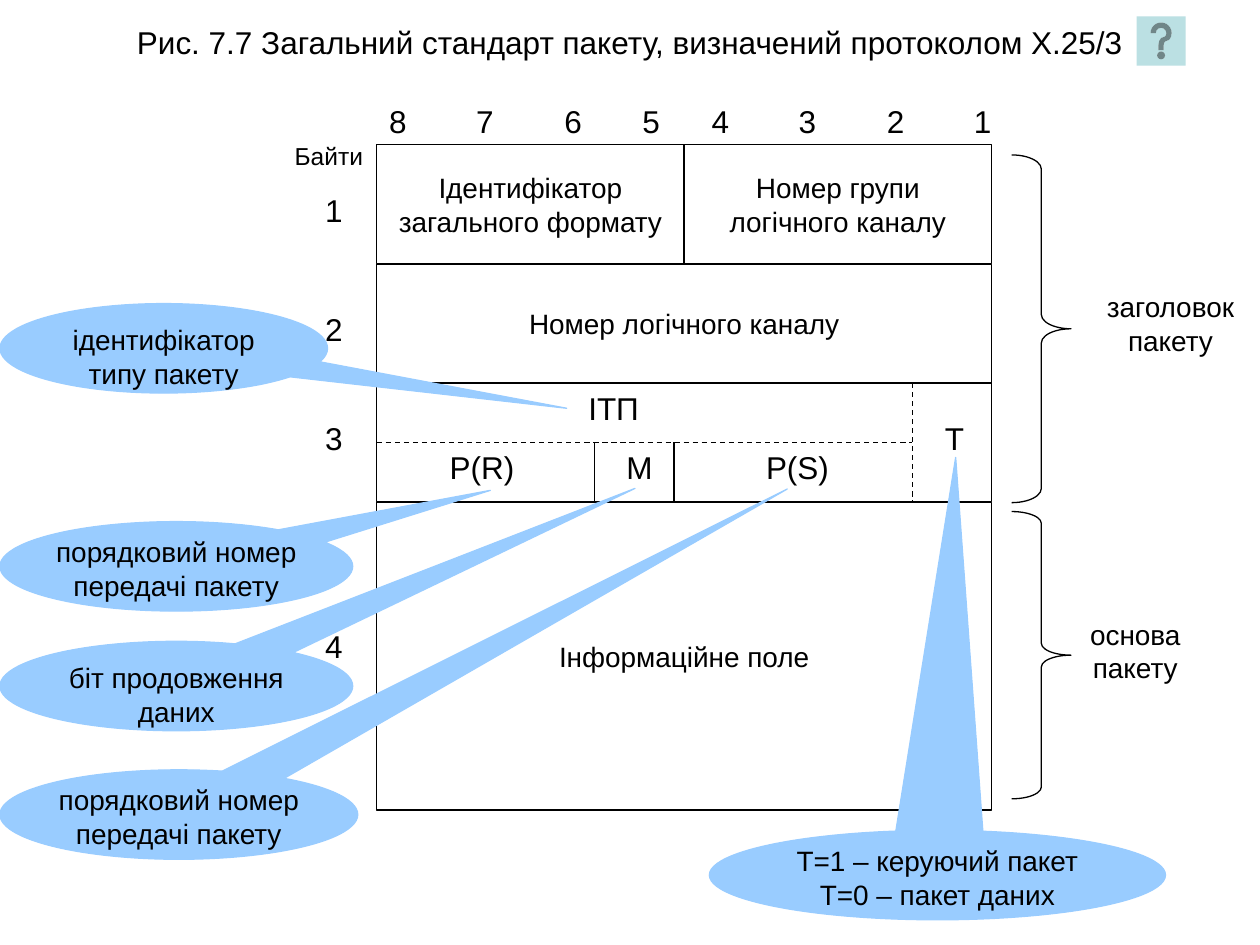
from typing import NamedTuple

from lxml.etree import SubElement
from pptx import Presentation
from pptx.dml.color import RGBColor
from pptx.enum.dml import MSO_LINE_DASH_STYLE as DASH
from pptx.enum.shapes import MSO_CONNECTOR, MSO_SHAPE
from pptx.enum.text import MSO_ANCHOR as ANCHOR, MSO_AUTO_SIZE, PP_ALIGN
from pptx.oxml.ns import qn
from pptx.util import Inches, Pt

BLACK = RGBColor(0x00, 0x00, 0x00)
CALLOUT_BLUE = RGBColor(0x99, 0xCC, 0xFF)
BUTTON_TEAL = RGBColor(0xBB, 0xE0, 0xE3)

LEFT, WIDTH = 2.99, 4.88
HALF = WIDTH / 2
ROW_H = 0.94
ROW_TOPS = [1.15, 2.1, 3.04, 3.99]
MIDDLE = 3.51      # dashed line inside the third row
T_LEFT = 7.24      # left edge of the T bit
INSETS = (0.1, 0.05)


class Box(NamedTuple):
    left: float
    top: float
    width: float
    height: float


class Cell(NamedTuple):
    box: Box
    text: str = ""


class Label(NamedTuple):
    box: Box
    text: str
    size: int = 18
    wrap: bool = False


class Rule(NamedTuple):
    x1: float
    y1: float
    x2: float
    y2: float
    dashed: bool = False


class Brace(NamedTuple):
    box: Box
    curve: float


class Callout(NamedTuple):
    box: Box
    tip: tuple[float, float]
    text: str
    insets: tuple[float, float] = (0, 0)


CELLS = [
    Cell(Box(LEFT + HALF, ROW_TOPS[0], HALF, ROW_H), "Номер групи\nлогічного каналу"),
    Cell(Box(LEFT, ROW_TOPS[0], HALF, ROW_H), "Ідентифікатор\nзагального формату"),
    Cell(Box(LEFT, ROW_TOPS[1], WIDTH, ROW_H), "Номер логічного каналу"),
    Cell(Box(LEFT, ROW_TOPS[3], WIDTH, 2.44), "Інформаційне поле"),
    Cell(Box(LEFT, ROW_TOPS[2], WIDTH, ROW_H)),
]
RULES = [
    Rule(T_LEFT, ROW_TOPS[2], T_LEFT, ROW_TOPS[3], True),
    Rule(LEFT, MIDDLE, T_LEFT, MIDDLE, True),
    Rule(5.35, MIDDLE, 5.35, ROW_TOPS[3]),
    Rule(4.72, MIDDLE, 4.72, ROW_TOPS[3]),
]
FIELD_LABELS = [
    Label(Box(4.8, MIDDLE, 0.55, 0.4), "М"),
    Label(Box(3.47, MIDDLE, 0.71, 0.4), "P(R)"),
    Label(Box(5.98, MIDDLE, 0.7, 0.4), "P(S)"),
    Label(Box(7.4, 3.28, 0.35, 0.4), "T"),
    Label(Box(4.57, ROW_TOPS[2], 0.6, 0.4), "ІТП"),
    Label(Box(8.5, 4.85, 1.02, 0.64), "основа пакету", 16, True),
    Label(Box(8.58, 2.25, 1.42, 0.64), "заголовок пакету", 16, True),
]
BRACES = [
    Brace(Box(8.03, 4.06, 0.47, 2.28), 0.2),
    Brace(Box(8.03, 1.23, 0.47, 2.76), 0.24),
]
CALLOUTS = [
    Callout(Box(0, 2.41, 2.6, 0.71), (1.23, 0.67), "ідентифікатор типу пакету", INSETS),
    Callout(Box(0, 6.11, 2.84, 0.71), (1.7, -3.64), "порядковий номер передачі пакету"),
    Callout(Box(0, 5.09, 2.8, 0.71), (1.3, -2.21), "біт продовження даних", INSETS),
    Callout(Box(0, 4.14, 2.8, 0.71), (0.89, -0.85), "порядковий номер передачі пакету"),
    Callout(Box(5.63, 6.59, 3.62, 0.71), (0.04, -4.67),
            "Т=1 – керуючий пакет\nТ=0 – пакет даних"),
]
BYTE_LABELS = [Label(Box(2.24, 1.07, 0.74, 0.34), "Байти", 14)] + [
    Label(Box(2.48, top, 0.34, 0.4), str(number))
    for number, top in enumerate((1.47, 2.41, 3.28, 4.93), 1)
]
BIT_TABS = [0.69, 1.39, 2.01, 2.56, 3.25, 3.95, 4.64]


def inches(values) -> list:
    return [Inches(v) for v in values]


def write(sp, text: str, size: int, wrap=True, anchor=ANCHOR.TOP,
          insets=INSETS, align=PP_ALIGN.CENTER) -> None:
    tf = sp.text_frame
    tf.text = text
    x, y = inches(insets)
    frame = dict(word_wrap=wrap, vertical_anchor=anchor, auto_size=MSO_AUTO_SIZE.NONE,
                 margin_left=x, margin_right=x, margin_top=y, margin_bottom=y)
    for name, value in frame.items():
        setattr(tf, name, value)
    for p in tf.paragraphs:
        p.alignment = align
        for r in p.runs:
            for name, value in dict(name="Arial", size=Pt(size)).items():
                setattr(r.font, name, value)
            r.font.color.rgb = BLACK


def add_shape(slide, kind, box: Box, fill=None, line=None):
    sp = slide.shapes.add_shape(kind, *inches(box))
    sp.shadow.inherit = False
    for part, color in ((sp.fill, fill), (sp.line.fill, line)):
        if color is None:
            part.background()
        else:
            part.solid()
            part.fore_color.rgb = color
    if line is not None:
        sp.line.width = Pt(0.75)
    return sp


def add_cell(slide, cell: Cell) -> None:
    sp = add_shape(slide, MSO_SHAPE.RECTANGLE, cell.box, line=BLACK)
    write(sp, cell.text, 16, wrap=False, anchor=ANCHOR.MIDDLE)


def add_rule(slide, rule: Rule) -> None:
    ends = inches((rule.x1, rule.y1, rule.x2, rule.y2))
    cn = slide.shapes.add_connector(MSO_CONNECTOR.STRAIGHT, *ends)
    cn.line.color.rgb = BLACK
    cn.line.width = Pt(0.75)
    if rule.dashed:
        cn.line.dash_style = DASH.DASH
    SubElement(cn._element.spPr, qn("a:effectLst"))


def add_label(slide, label: Label) -> None:
    sp = slide.shapes.add_textbox(*inches(label.box))
    write(sp, label.text, label.size, wrap=label.wrap)


def add_brace(slide, brace: Brace) -> None:
    sp = add_shape(slide, MSO_SHAPE.RIGHT_BRACE, brace.box, line=BLACK)
    sp.adjustments[0] = brace.curve


def add_callout(slide, callout: Callout) -> None:
    sp = add_shape(slide, MSO_SHAPE.OVAL_CALLOUT, callout.box, CALLOUT_BLUE, CALLOUT_BLUE)
    sp.adjustments[0], sp.adjustments[1] = callout.tip
    write(sp, callout.text, 16, insets=callout.insets)


def add_bit_numbers(slide) -> None:
    sp = slide.shapes.add_textbox(*inches((LEFT, 0.76, 5.04, 0.4)))
    write(sp, "\t".join("87654321"), 18, align=PP_ALIGN.LEFT)
    tabs = SubElement(sp.text_frame.paragraphs[0]._p.get_or_add_pPr(), qn("a:tabLst"))
    for pos in BIT_TABS:
        SubElement(tabs, qn("a:tab"), pos=str(Inches(pos)), algn="l")


def main() -> None:
    prs = Presentation()
    prs.slide_width, prs.slide_height = Inches(10), Inches(7.5)
    slide = prs.slides.add_slide(prs.slide_layouts[5])

    title = slide.shapes.title
    title.left, title.top, title.width, title.height = inches((0, 0.13, 10, 0.4))
    write(title, "Рис. 7.7 Загальний стандарт пакету, визначений протоколом Х.25/3", 18)

    add_bit_numbers(slide)
    for add, items in ((add_cell, CELLS), (add_rule, RULES), (add_label, FIELD_LABELS),
                       (add_brace, BRACES), (add_callout, CALLOUTS), (add_label, BYTE_LABELS)):
        for item in items:
            add(slide, item)
    add_shape(slide, MSO_SHAPE.ACTION_BUTTON_HELP, Box(9.02, 0.13, 0.39, 0.39), BUTTON_TEAL)

    prs.save("out.pptx")


if __name__ == "__main__":
    main()
